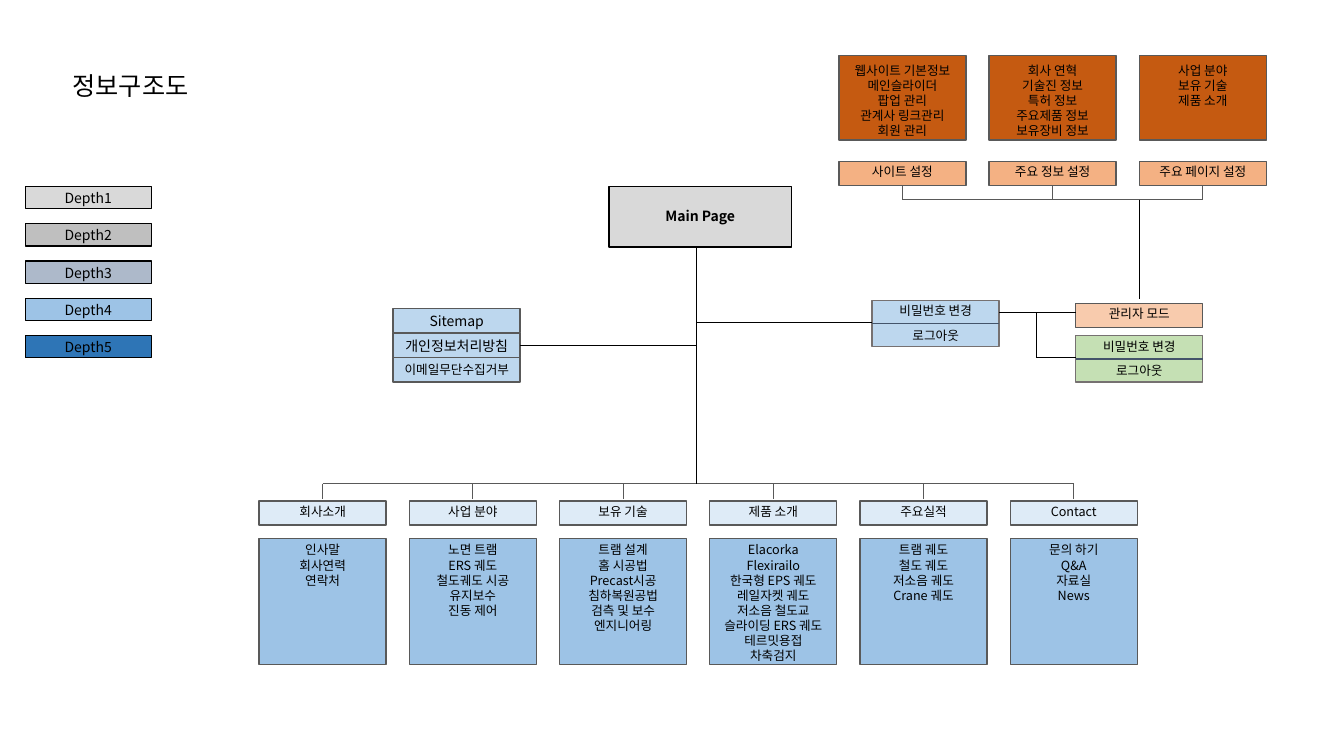
"""Build the site information architecture slide."""
import dataclasses

import lxml.etree
import pptx
import pptx.dml.color
import pptx.enum.shapes
import pptx.enum.text
import pptx.oxml.ns
import pptx.presentation
import pptx.slide
import pptx.text.text
import pptx.util

FONT = "Noto Sans CJK KR"
BLACK, GRAY, WARM_GRAY, SLATE = "000000", "595959", "767171", "44546A"
NODE_WIDTH, NODE_HEIGHT, COLUMN_PITCH = 1.26, 0.24, 1.49


@dataclasses.dataclass(frozen=True)
class Node:
    """A filled box with centred lines of text."""
    left: float
    top: float
    lines: tuple[str, ...]
    fill: str
    width: float = NODE_WIDTH
    height: float = NODE_HEIGHT
    border: str = GRAY
    size: float = 9
    bold: bool = False
    inset: float = 0.04
    gap: float = 0


@dataclasses.dataclass(frozen=True)
class Link:
    """A straight line between two points."""
    x1: float
    y1: float
    x2: float
    y2: float
    color: str = BLACK
    weight: float = 0.5


@dataclasses.dataclass(frozen=True)
class Menu:
    """A menu heading with its entries."""
    heading: str
    entries: tuple[str, ...]


def rgb(color: str) -> pptx.dml.color.RGBColor:
    """Turn a hex string into a colour."""
    return pptx.dml.color.RGBColor.from_string(color)


def style_paragraph(paragraph: pptx.text.text._Paragraph, size: float, bold: bool = False) -> None:
    """Centre a paragraph and set its font for Latin and Korean text."""
    paragraph.alignment = pptx.enum.text.PP_ALIGN.CENTER
    paragraph.line_spacing = pptx.util.Pt(1.2 * size)
    font = paragraph.font
    font.name, font.size, font.bold = FONT, pptx.util.Pt(size), bold
    font.color.rgb = rgb(BLACK)
    latin = paragraph._p.pPr.find(".//" + pptx.oxml.ns.qn("a:latin"))
    east_asian = lxml.etree.Element(pptx.oxml.ns.qn("a:ea"), typeface=FONT)
    latin.addnext(east_asian)


def draw_node(slide: pptx.slide.Slide, node: Node) -> None:
    """Draw one box with its text."""
    shape = slide.shapes.add_shape(
        pptx.enum.shapes.MSO_SHAPE.RECTANGLE,
        *map(pptx.util.Inches, (node.left, node.top, node.width, node.height)))
    shape.shadow.inherit = False
    shape.fill.solid()
    shape.fill.fore_color.rgb = rgb(node.fill)
    shape.line.color.rgb = rgb(node.border)
    shape.line.width = pptx.util.Pt(1)
    frame = shape.text_frame
    frame.word_wrap = True
    frame.vertical_anchor = pptx.enum.text.MSO_ANCHOR.TOP
    frame.margin_left = frame.margin_right = frame.margin_bottom = 0
    frame.margin_top = pptx.util.Inches(node.inset)
    frame.text = "\n".join(node.lines)
    for paragraph in frame.paragraphs:
        style_paragraph(paragraph, node.size, node.bold)
        paragraph.space_after = pptx.util.Pt(node.gap)


def draw_link(slide: pptx.slide.Slide, link: Link) -> None:
    """Draw one connecting line."""
    connector = slide.shapes.add_connector(
        pptx.enum.shapes.MSO_CONNECTOR.STRAIGHT,
        *map(pptx.util.Inches, (link.x1, link.y1, link.x2, link.y2)))
    connector.line.color.rgb = rgb(link.color)
    connector.line.width = pptx.util.Pt(link.weight)
    lxml.etree.SubElement(connector._element.spPr, pptx.oxml.ns.qn("a:effectLst"))


def draw_title(slide: pptx.slide.Slide, text: str) -> None:
    """Place the slide title."""
    title = slide.shapes.title
    title.left, title.top, title.width, title.height = map(
        pptx.util.Inches, (0.37, 0.65, 1.85, 0.4))
    title.text_frame.text = text
    title.text_frame.vertical_anchor = pptx.enum.text.MSO_ANCHOR.MIDDLE
    style_paragraph(title.text_frame.paragraphs[0], 18)


def draw_menus(slide: pptx.slide.Slide, menus: tuple[Menu, ...], left: float,
               heading_top: float, heading_fill: str, entries_top: float,
               entries_height: float, entries_fill: str, entries_inset: float,
               rail: float, drop_end: float) -> None:
    """Draw a row of menus hanging from a common rail."""
    centers = [left + COLUMN_PITCH * i + NODE_WIDTH / 2 for i in range(len(menus))]
    for center, menu in zip(centers, menus):
        x = center - NODE_WIDTH / 2
        draw_node(slide, Node(x, heading_top, (menu.heading,), heading_fill, inset=0.03))
        draw_node(slide, Node(x, entries_top, menu.entries, entries_fill,
                              height=entries_height, inset=entries_inset))
        draw_link(slide, Link(center, rail, center, drop_end, GRAY, 0.75))
    draw_link(slide, Link(centers[0], rail, centers[-1], rail, GRAY))


def build() -> pptx.presentation.Presentation:
    """Assemble the slide."""
    deck = pptx.Presentation()
    deck.slide_width, deck.slide_height = pptx.util.Inches(13.33), pptx.util.Inches(7.5)
    slide = deck.slides.add_slide(deck.slide_layouts[5])
    draw_title(slide, "정보구조도")

    for i, fill in enumerate(("D9D9D9", "BFBFBF", "ADB9CA", "9DC3E6", "2E75B6")):
        draw_node(slide, Node(0.25, 1.85 + 0.37 * i, (f"Depth{i + 1}",), fill,
                              width=1.25, height=0.22, border=BLACK, size=10, inset=0.03))

    draw_node(slide, Node(6.04, 1.85, ("Main Page",), "D9D9D9", width=1.81, height=0.6,
                          border=BLACK, size=10, bold=True, inset=0.21))
    for i, (label, size) in enumerate((("Sitemap", 10), ("개인정보처리방침", 10),
                                       ("이메일무단수집거부", 9))):
        draw_node(slide, Node(3.9, 3.06 + 0.245 * i, (label,), "BDD7EE", size=size))

    draw_node(slide, Node(10.67, 3.01, ("관리자 모드",), "F8CBAD", inset=0.03))
    for left, top, fill in ((8.65, 2.98, "BDD7EE"), (10.67, 3.33, "C5E0B4")):
        draw_node(slide, Node(left, top, ("비밀번호 변경", "로그아웃"), fill, height=0.46,
                              border=WARM_GRAY, inset=0.03, gap=6.5))
        middle = top + 0.23
        draw_link(slide, Link(left, middle, left + NODE_WIDTH, middle, SLATE, 1))

    site_menus = (
        Menu("회사소개", ("인사말", "회사연력", "연락처")),
        Menu("사업 분야", ("노면 트램", "ERS 궤도", "철도궤도 시공", "유지보수", "진동 제어")),
        Menu("보유 기술", ("트램 설계", "홈 시공법", "Precast시공", "침하복원공법",
                       "검측 및 보수", "엔지니어링")),
        Menu("제품 소개", ("Elacorka", "Flexirailo", "한국형 EPS 궤도", "레일자켓 궤도",
                       "저소음 철도교", "슬라이딩 ERS 궤도", "테르밋용접", "차축검지")),
        Menu("주요실적", ("트램 궤도", "철도 궤도", "저소음 궤도", "Crane 궤도")),
        Menu("Contact", ("문의 하기", "Q&A", "자료실", "News")),
    )
    admin_menus = (
        Menu("사이트 설정", ("웹사이트 기본정보", "메인슬라이더", "팝업 관리",
                        "관계사 링크관리", "회원 관리")),
        Menu("주요 정보 설정", ("회사 연혁", "기술진 정보", "특허 정보", "주요제품 정보",
                          "보유장비 정보")),
        Menu("주요 페이지 설정", ("사업 분야", "보유 기술", "제품 소개")),
    )
    draw_menus(slide, site_menus, 2.57, 4.97, "DEEBF7", 5.34, 1.25, "9DC3E6", 0.04, 4.8, 4.95)
    draw_menus(slide, admin_menus, 8.32, 1.6, "F4B183", 0.55, 0.84, "C55A11", 0.07, 1.98, 1.84)

    for link in (
        Link(6.91, 2.45, 6.91, 4.8),
        Link(5.16, 3.43, 6.91, 3.43),
        Link(6.91, 3.2, 8.65, 3.2),
        Link(9.91, 3.1, 10.67, 3.1),
        Link(10.28, 3.1, 10.28, 3.55),
        Link(10.28, 3.55, 10.67, 3.55),
        Link(11.3, 1.98, 11.3, 2.97),
    ):
        draw_link(slide, link)
    return deck


build().save("out.pptx")
